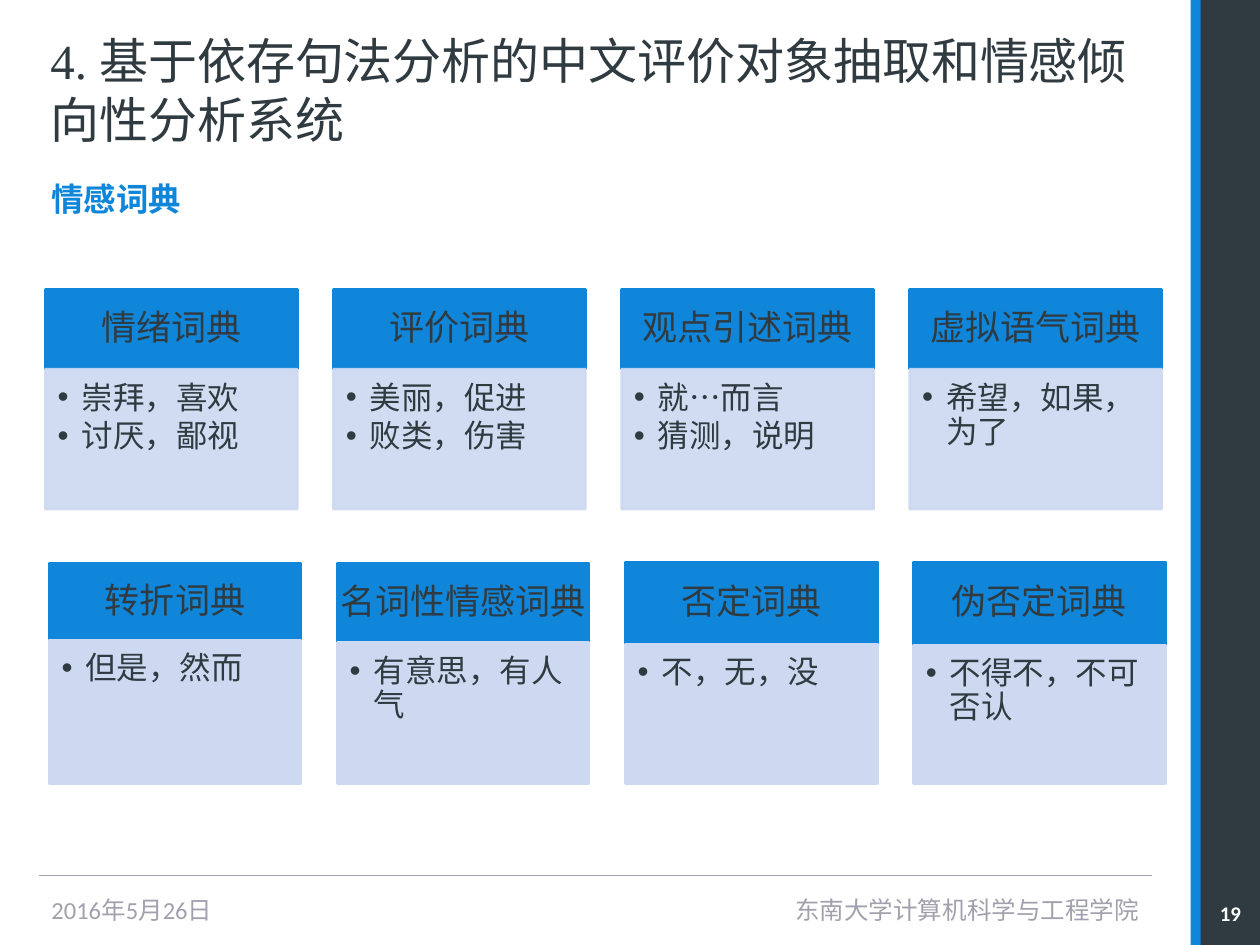
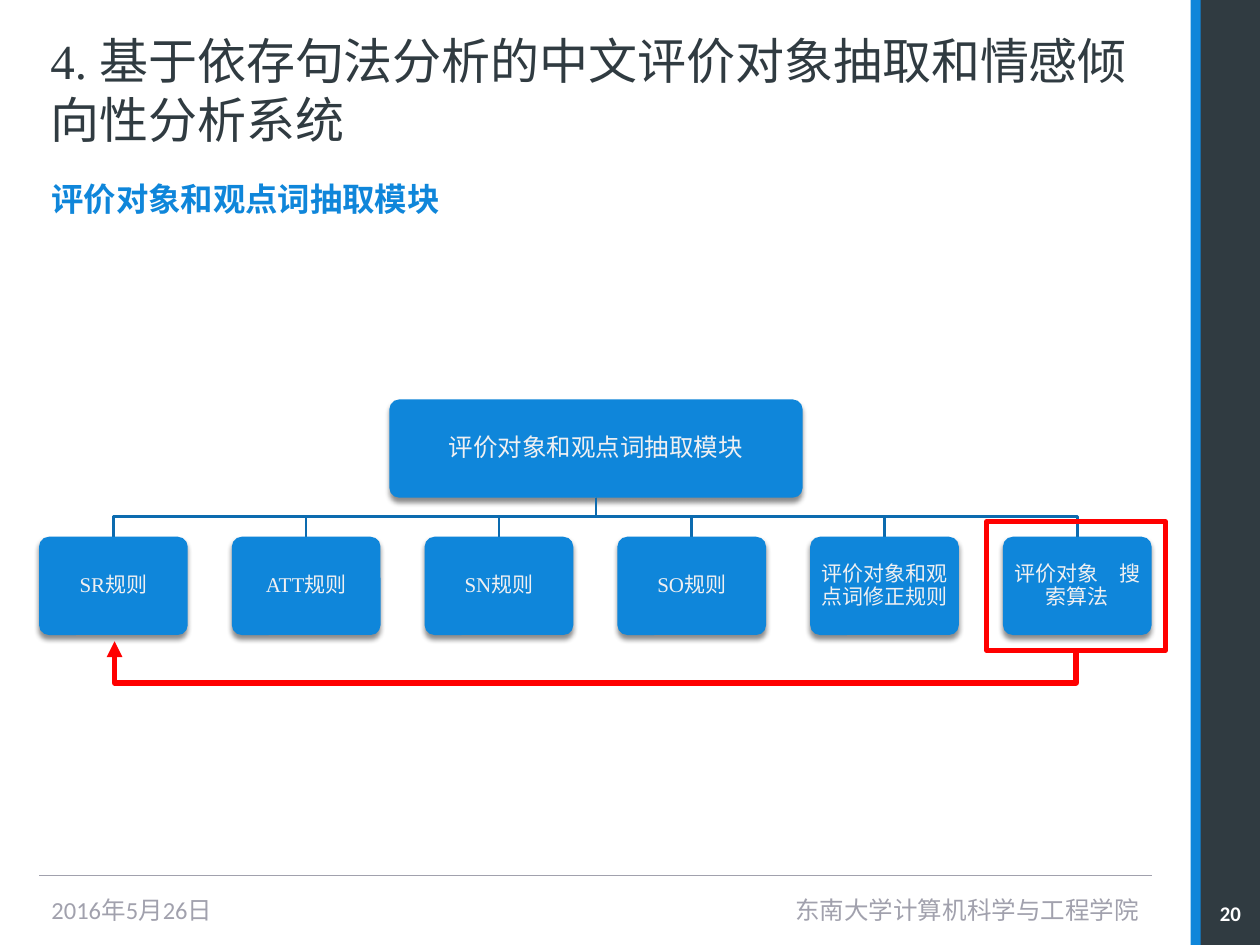
"""Build two slides on a sentiment dictionary and an extraction module."""
from dataclasses import dataclass
from typing import NamedTuple

from lxml.etree import SubElement
from pptx import Presentation
from pptx.dml.color import RGBColor
from pptx.enum.lang import MSO_LANGUAGE_ID as Language
from pptx.enum.shapes import MSO_CONNECTOR as Connector, MSO_SHAPE as Preset
from pptx.enum.text import MSO_ANCHOR as Anchor, PP_ALIGN as Align
from pptx.oxml.ns import qn
from pptx.util import Inches, Pt


@dataclass(frozen=True)
class TextStyle:
    size: float
    color: str
    font: str = "Calibri"
    bold: bool = False
    align: Align = Align.LEFT
    anchor: Anchor = Anchor.MIDDLE
    line_spacing: float = 1.0
    space_before: float = 0
    space_after: float = 0
    margins: tuple[float, float, float, float] = (0.1, 0.05, 0.1, 0.05)


@dataclass(frozen=True)
class Theme:
    blue: str = "0F86DA"
    dark: str = "303B41"
    pale: str = "CCD9F1"
    branch: str = "0C6BAF"
    gray: str = "A1A1AD"
    red: str = "FF0000"
    title: TextStyle = TextStyle(28, "303B41", "Times New Roman")
    subtitle: TextStyle = TextStyle(18.5, "0F86DA", bold=True, anchor=Anchor.TOP, space_before=7)
    date: TextStyle = TextStyle(14, "A1A1AD")
    footer: TextStyle = TextStyle(14, "A1A1AD", align=Align.RIGHT)
    number: TextStyle = TextStyle(11.9, "FFFFFF", bold=True, align=Align.CENTER)
    card_header: TextStyle = TextStyle(20, "303B41", align=Align.CENTER, line_spacing=0.9,
                                       margins=(0.02, 0.09, 0.02, 0.09))
    card_body: TextStyle = TextStyle(18, "303B41", anchor=Anchor.TOP, line_spacing=0.9,
                                     space_after=2.7, margins=(0.1, 0.1, 0.14, 0.16))
    root: TextStyle = TextStyle(14, "F0F0F2", align=Align.CENTER, line_spacing=0.9,
                                margins=(0.06, 0.06, 0.06, 0.06))
    rule: TextStyle = TextStyle(12, "F0F0F2", "Times New Roman", align=Align.CENTER,
                                line_spacing=0.9, margins=(0.04, 0.05, 0.04, 0.05))


class Box(NamedTuple):
    left: float
    top: float
    width: float
    height: float

    def lengths(self) -> list:
        return [Inches(value) for value in self]


class Card(NamedTuple):
    name: str
    examples: str
    top: float
    split: float


class CardRow(NamedTuple):
    left: float
    bottom: float
    opacity: int
    cards: list[Card]


THEME = Theme()
TITLE = "4. 基于依存句法分析的中文评价对象抽取和情感倾向性分析系统"
DATE = "2016年5月26日"
SCHOOL = "东南大学计算机科学与工程学院"
CARD_WIDTH = 2
CARD_PITCH = 6.86 / 3
CARD_ROWS = [
    CardRow(0.36, 4.04, 90, [
        Card("情绪词典", "崇拜，喜欢\n讨厌，鄙视", 2.3, 2.93),
        Card("评价词典", "美丽，促进\n败类，伤害", 2.3, 2.93),
        Card("观点引述词典", "就…而言\n猜测，说明", 2.3, 2.93),
        Card("虚拟语气词典", "希望，如果，为了", 2.3, 2.93),
    ]),
    CardRow(0.39, 6.22, 100, [
        Card("转折词典", "但是，然而", 4.47, 5.08),
        Card("名词性情感词典", "有意思，有人气", 4.47, 5.1),
        Card("否定词典", "不，无，没", 4.46, 5.11),
        Card("伪否定词典", "不得不，不可否认", 4.46, 5.12),
    ]),
]
MODULE = "评价对象和观点词抽取模块"
RULES = ["SR规则", "ATT规则", "SN规则", "SO规则", "评价对象和观点词修正规则", "评价对象　搜索算法"]
RULE_PITCH = 1.53
ROOT_CENTER = 4.73
BUS_Y = 4.1


def rgb(color: str) -> RGBColor:
    return RGBColor.from_string(color)


def write(shape, text: str, style: TextStyle) -> None:
    frame = shape.text_frame
    frame.text = text
    frame.word_wrap = True
    frame.vertical_anchor = style.anchor
    left, top, right, bottom = (Inches(margin) for margin in style.margins)
    frame.margin_left, frame.margin_top = left, top
    frame.margin_right, frame.margin_bottom = right, bottom
    for paragraph in frame.paragraphs:
        paragraph.alignment = style.align
        paragraph.line_spacing = style.line_spacing
        paragraph.space_before = Pt(style.space_before)
        paragraph.space_after = Pt(style.space_after)
        for run in paragraph.runs:
            run.font.size = Pt(style.size)
            run.font.name = style.font
            run.font.bold = style.bold
            run.font.color.rgb = rgb(style.color)
            run.font.language_id = Language.SIMPLIFIED_CHINESE


def add_label(slide, text: str, box: Box, style: TextStyle) -> None:
    write(slide.shapes.add_textbox(*box.lengths()), text, style)


def add_block(slide, box: Box, fill: str | None, line: str | None = None,
              line_width: float = 1.5, preset: Preset = Preset.RECTANGLE):
    shape = slide.shapes.add_shape(preset, *box.lengths())
    shape.shadow.inherit = False
    if fill:
        shape.fill.solid()
        shape.fill.fore_color.rgb = rgb(fill)
    else:
        shape.fill.background()
    if line:
        shape.line.color.rgb = rgb(line)
        shape.line.width = Pt(line_width)
    else:
        shape.line.fill.background()
    return shape


def add_footer_rule(slide) -> None:
    ends = (Inches(value) for value in (0.31, 6.95, 9.14, 6.95))
    connector = slide.shapes.add_connector(Connector.STRAIGHT, *ends)
    connector.line.color.rgb = rgb(THEME.gray)
    connector.line.width = Pt(0.79)
    SubElement(connector._element.spPr, qn("a:effectLst"))


def add_polyline(slide, points: list[tuple[float, float]], color: str, width: float):
    start, *others = [(Inches(x), Inches(y)) for x, y in points]
    builder = slide.shapes.build_freeform(*start)
    builder.add_line_segments(others, close=False)
    polyline = builder.convert_to_shape()
    polyline.shadow.inherit = False
    polyline.fill.background()
    polyline.line.color.rgb = rgb(color)
    polyline.line.width = Pt(width)
    return polyline


def add_bullets(shape) -> None:
    for paragraph in shape.text_frame.paragraphs:
        properties = paragraph._p.get_or_add_pPr()
        properties.set("marL", str(Inches(0.19)))
        properties.set("indent", str(Inches(-0.19)))
        SubElement(properties, qn("a:buFont"), typeface="Arial")
        SubElement(properties, qn("a:buChar"), char="•")


def add_card(slide, card: Card, left: float, bottom: float, opacity: int) -> None:
    header_box = Box(left, card.top, CARD_WIDTH, card.split - card.top)
    header = add_block(slide, header_box, THEME.blue, THEME.blue)
    write(header, card.name, THEME.card_header)
    body_box = Box(left, card.split, CARD_WIDTH, bottom - card.split)
    body = add_block(slide, body_box, THEME.pale, THEME.pale)
    for color in body._element.spPr.iter(qn("a:srgbClr")):
        SubElement(color, qn("a:alpha"), val=str(opacity * 1000))
    write(body, card.examples, THEME.card_body)
    add_bullets(body)


def add_node(slide, text: str, box: Box, style: TextStyle) -> None:
    node = add_block(slide, box, THEME.blue, preset=Preset.ROUNDED_RECTANGLE)
    node.adjustments[0] = 0.1
    effects = node._element.spPr.find(qn("a:effectLst"))
    shadow = SubElement(effects, qn("a:outerShdw"), blurRad=str(Pt(3)), dist=str(Pt(2.4)),
                        dir="5400000", algn="ctr", rotWithShape="0")
    color = SubElement(shadow, qn("a:srgbClr"), val="000000")
    SubElement(color, qn("a:alpha"), val="45000")
    write(node, text, style)


def add_base_slide(presentation, subtitle: str, number: int):
    slide = presentation.slides.add_slide(presentation.slide_layouts[5])
    add_block(slide, Box(9.45, 0, 0.55, 7.5), THEME.blue)
    add_block(slide, Box(9.53, 0, 0.47, 7.5), THEME.dark)
    add_footer_rule(slide)
    title = slide.shapes.title
    title.left, title.top, title.width, title.height = Box(0.3, 0.17, 8.92, 1.08).lengths()
    write(title, TITLE, THEME.title)
    add_label(slide, subtitle, Box(0.31, 1.37, 8.91, 0.39), THEME.subtitle)
    add_label(slide, DATE, Box(0.31, 7.02, 1.95, 0.4), THEME.date)
    add_label(slide, SCHOOL, Box(3.21, 7.02, 5.93, 0.4), THEME.footer)
    add_label(slide, str(number), Box(9.53, 7.11, 0.47, 0.27), THEME.number)
    return slide


def add_dictionary_slide(presentation) -> None:
    slide = add_base_slide(presentation, "情感词典", 19)
    for row in CARD_ROWS:
        for column, card in enumerate(row.cards):
            add_card(slide, card, row.left + column * CARD_PITCH, row.bottom, row.opacity)


def add_module_slide(presentation) -> None:
    slide = add_base_slide(presentation, MODULE, 20)
    add_node(slide, MODULE, Box(3.09, 3.17, 3.28, 0.78), THEME.root)
    for index, text in enumerate(RULES):
        box = Box(0.31 + index * RULE_PITCH, 4.26, 1.18, 0.78)
        center = box.left + box.width / 2
        branch = [(ROOT_CENTER, 3.95), (ROOT_CENTER, BUS_Y), (center, BUS_Y), (center, box.top)]
        add_polyline(slide, branch, THEME.branch, 1.5)
        add_node(slide, text, box, THEME.rule)
    add_block(slide, Box(7.83, 4.14, 1.42, 1.02), None, THEME.red, 3)
    feedback = [(8.54, 5.17), (8.54, 5.42), (0.91, 5.42), (0.91, 5.09)]
    arrow = add_polyline(slide, feedback, THEME.red, 3)
    SubElement(arrow._element.spPr.find(qn("a:ln")), qn("a:tailEnd"), type="triangle")


def main() -> None:
    presentation = Presentation()
    presentation.slide_width, presentation.slide_height = Inches(10), Inches(7.5)
    add_dictionary_slide(presentation)
    add_module_slide(presentation)
    presentation.save("out.pptx")


if __name__ == "__main__":
    main()
